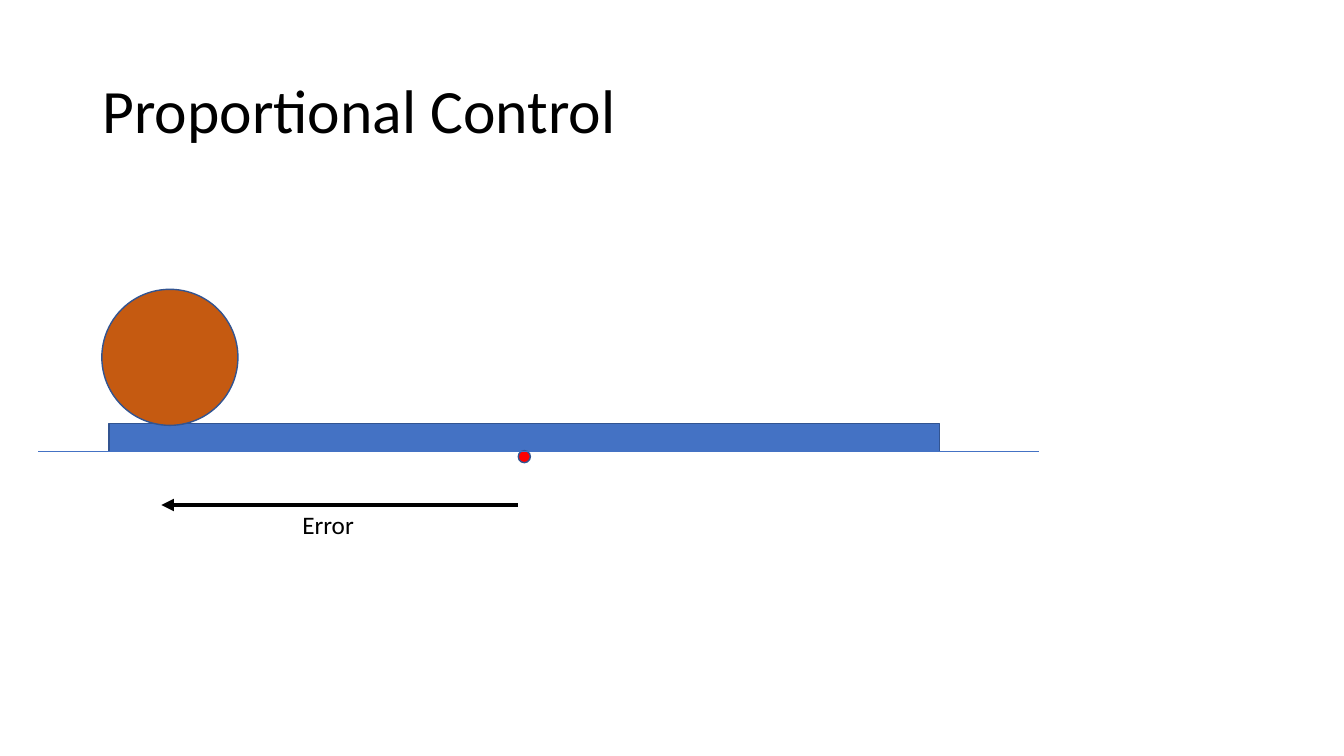
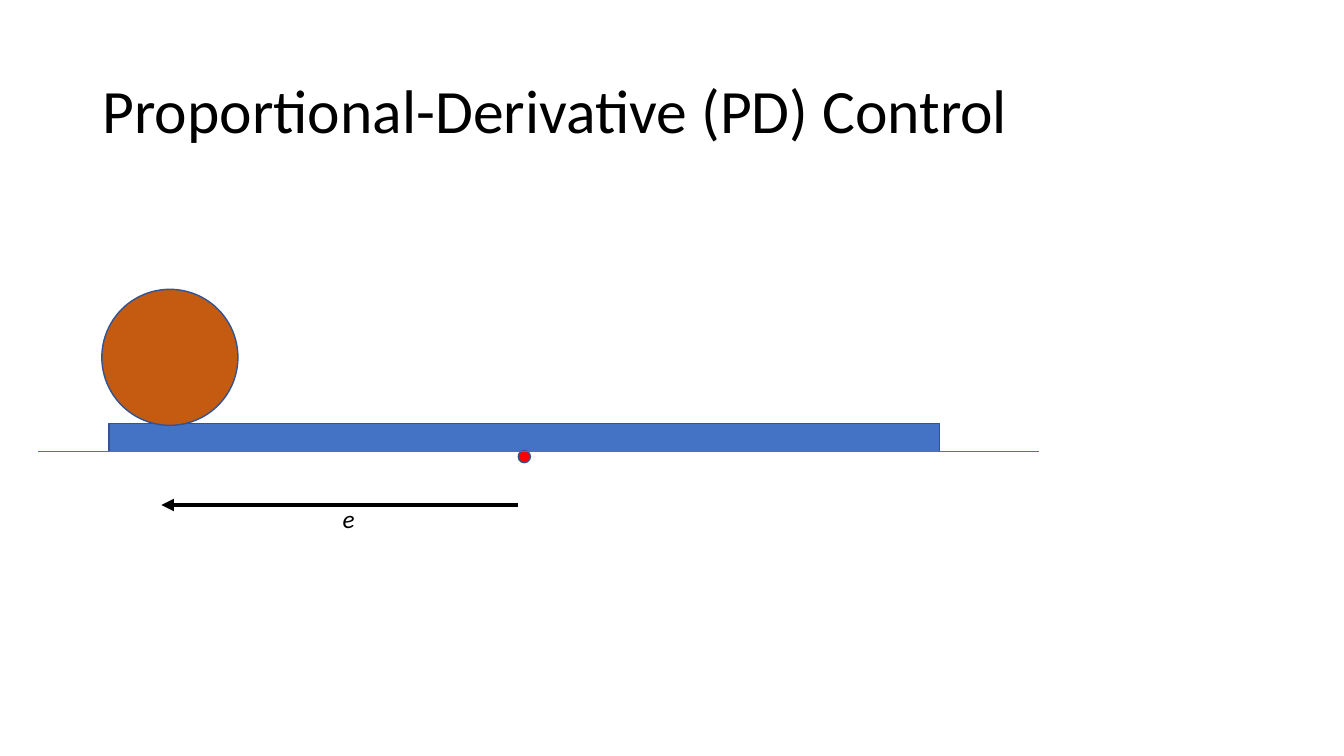
"""Build two slides on proportional and proportional-derivative control."""
from pptx import Presentation
from pptx.dml.color import RGBColor
from pptx.enum import shapes, text
from pptx.oxml import ns, xmlchemy
from pptx.util import Inches, Pt

FONT = "Calibri"
BLACK = RGBColor(0x00, 0x00, 0x00)
BLUE = RGBColor(0x44, 0x72, 0xC4)
OUTLINE = RGBColor(0x32, 0x54, 0x91)
ORANGE = RGBColor(0xC5, 0x5A, 0x11)
RED = RGBColor(0xFF, 0x00, 0x00)

RECTANGLE = shapes.MSO_SHAPE.RECTANGLE
OVAL = shapes.MSO_SHAPE.OVAL
GROUND_Y = 4.48
ARROW_Y = 5.01


def add_text(slide, box, content, size, italic=None):
    text_frame = slide.shapes.add_textbox(*map(Inches, box)).text_frame
    text_frame.word_wrap = True
    text_frame.text = content
    paragraph = text_frame.paragraphs[0]
    font = paragraph.runs[0].font
    font.name = FONT
    font.size = Pt(size)
    font.italic = italic
    font.color.rgb = BLACK
    return text_frame


def add_title(slide, title):
    text_frame = add_text(slide, (0.92, 0.4, 11.5, 1.45), title, 44)
    text_frame.vertical_anchor = text.MSO_ANCHOR.MIDDLE
    text_frame.paragraphs[0].line_spacing = 0.9


def add_body(slide, kind, box, color):
    shape = slide.shapes.add_shape(kind, *map(Inches, box))
    shape.shadow.inherit = False
    shape.fill.solid()
    shape.fill.fore_color.rgb = color
    shape.line.color.rgb = OUTLINE
    shape.line.width = Pt(1)


def add_line(slide, left, right, y, color, width):
    line = slide.shapes.add_connector(
        shapes.MSO_CONNECTOR.STRAIGHT,
        Inches(left), Inches(y), Inches(right), Inches(y))
    line.line.color.rgb = color
    line.line.width = Pt(width)
    properties = line._element.spPr
    properties.append(xmlchemy.OxmlElement("a:effectLst"))
    return properties.find(ns.qn("a:ln"))


def add_error_arrow(slide):
    outline = add_line(slide, 1.6, 5.14, ARROW_Y, BLACK, 3)
    head = xmlchemy.OxmlElement("a:headEnd")
    head.set("type", "triangle")
    outline.append(head)


def add_control_slide(presentation, title, label, label_left, label_top, italic):
    slide = presentation.slides.add_slide(presentation.slide_layouts[6])
    add_title(slide, title)
    add_body(slide, RECTANGLE, (1.08, 4.2, 8.24, 0.28), BLUE)
    add_body(slide, OVAL, (1.01, 2.87, 1.35, 1.35), ORANGE)
    add_body(slide, OVAL, (5.14, 4.47, 0.12, 0.12), RED)
    add_error_arrow(slide)
    label_frame = add_text(
        slide, (label_left, label_top, 1.17, 0.4), label, 18, italic)
    label_frame.auto_size = text.MSO_AUTO_SIZE.SHAPE_TO_FIT_TEXT
    add_line(slide, 0.38, 10.31, GROUND_Y, BLUE, 0.5)


def main():
    presentation = Presentation()
    presentation.slide_width = Inches(13.33)
    presentation.slide_height = Inches(7.5)
    add_control_slide(
        presentation, "Proportional Control", "Error", 2.9, 5, None)
    add_control_slide(
        presentation, "Proportional-Derivative (PD) Control", "e", 3.3, 4.94, True)
    presentation.save("out.pptx")


if __name__ == "__main__":
    main()
